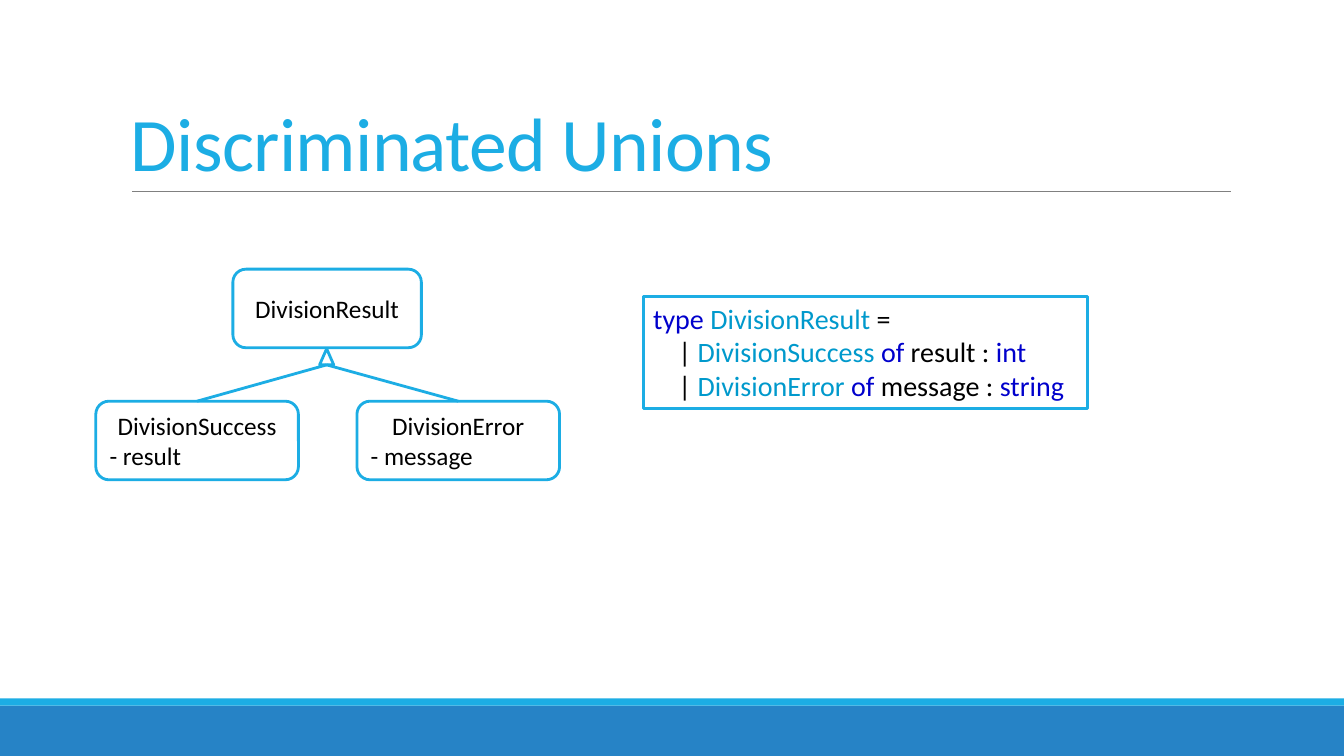
"""Build the Discriminated Unions slide."""
import pptx
import pptx.dml.color
import pptx.enum.shapes
import pptx.enum.text
import pptx.oxml.ns
import pptx.util
from lxml import etree

Inches, Pt = pptx.util.Inches, pptx.util.Pt
RGBColor = pptx.dml.color.RGBColor
MSO_SHAPE = pptx.enum.shapes.MSO_SHAPE
ANCHOR = pptx.enum.text.MSO_ANCHOR
ALIGN = pptx.enum.text.PP_ALIGN

SKY = RGBColor(0x1C, 0xAD, 0xE4)
BLUE = RGBColor(0x26, 0x83, 0xC6)
GRAY = RGBColor(0x80, 0x80, 0x80)
WHITE = RGBColor(0xFF, 0xFF, 0xFF)
BLACK = RGBColor(0x00, 0x00, 0x00)
KEYWORD = RGBColor(0x00, 0x00, 0xCC)
TYPE = RGBColor(0x00, 0x99, 0xCC)

FRAME = {"word_wrap": True, "vertical_anchor": ANCHOR.MIDDLE}
CODE = [
    [("type ", KEYWORD), ("DivisionResult", TYPE), (" =", BLACK)],
    [("| ", BLACK), ("DivisionSuccess ", TYPE), ("of", KEYWORD),
     (" result : ", BLACK), ("int", KEYWORD)],
    [("| ", BLACK), ("DivisionError ", TYPE), ("of", KEYWORD),
     (" message : ", BLACK), ("string", KEYWORD)],
]


def apply(obj, values):
    """Set each named attribute on an object."""
    for name, value in values.items():
        setattr(obj, name, value)


def add_box(s, kind, at, fill=None, line=None):
    """Add a preset shape without shadow."""
    sp = s.shapes.add_shape(kind, *map(Inches, at))
    sp.shadow.inherit = False
    if fill is None:
        sp.fill.background()
    else:
        sp.fill.solid()
        sp.fill.fore_color.rgb = fill
    if line is None:
        sp.line.fill.background()
    else:
        sp.line.color.rgb = line
        sp.line.width = Pt(2)
    return sp


def add_line(s, start, end, color, width):
    """Add a straight connector without shadow."""
    sp = s.shapes.add_connector(pptx.enum.shapes.MSO_CONNECTOR.STRAIGHT,
                                *map(Inches, start + end))
    sp.line.color.rgb = color
    sp.line.width = Pt(width)
    etree.SubElement(sp._element.spPr, pptx.oxml.ns.qn("a:effectLst"))


def add_run(p, text, size, color):
    """Add a coloured run to a paragraph."""
    r = p.add_run()
    r.text = text
    apply(r.font, {"name": "Calibri", "size": Pt(size)})
    r.font.color.rgb = color
    return r


def add_paragraph(tf, index, align=ALIGN.LEFT):
    """Return the first paragraph or a new one, aligned."""
    p = tf.add_paragraph() if index else tf.paragraphs[0]
    p.alignment = align
    return p


def add_title(s, text):
    """Add the slide title and its rule."""
    sp = s.shapes.add_textbox(*map(Inches, (1.2, 0.31, 11, 1.59)))
    tf = sp.text_frame
    apply(tf, FRAME | {"vertical_anchor": ANCHOR.BOTTOM})
    p = add_paragraph(tf, 0)
    p.line_spacing = 0.85
    r = add_run(p, text, 54, SKY)
    r.font._element.set("spc", "-50")
    add_line(s, (1.31, 1.9), (12.21, 1.9), GRAY, 0.5)


def add_code(s, at, lines):
    """Add the code box with coloured syntax and indented cases."""
    tf = add_box(s, MSO_SHAPE.RECTANGLE, at, WHITE, SKY).text_frame
    apply(tf, FRAME | {"vertical_anchor": ANCHOR.TOP})
    for i, line in enumerate(lines):
        p = add_paragraph(tf, i)
        if i:
            p._p.get_or_add_pPr().set("marL", str(Inches(0.25)))
        for text, color in line:
            add_run(p, text, 20, color)


def add_class(s, at, name, member=None):
    """Add a class box with a centred name and an optional member."""
    tf = add_box(s, MSO_SHAPE.ROUNDED_RECTANGLE, at, WHITE, SKY).text_frame
    apply(tf, FRAME)
    add_run(add_paragraph(tf, 0, ALIGN.CENTER), name, 18, BLACK)
    if member:
        add_run(add_paragraph(tf, 1), f"- {member}", 18, BLACK)


def main():
    """Build and save the slide."""
    prs = pptx.Presentation()
    apply(prs, {"slide_width": Inches(13.33), "slide_height": Inches(7.5)})
    s = prs.slides.add_slide(prs.slide_layouts[6])
    add_box(s, MSO_SHAPE.RECTANGLE, (0, 7, 13.33, 0.5), BLUE)
    add_box(s, MSO_SHAPE.RECTANGLE, (0, 6.93, 13.33, 0.07), SKY)
    add_title(s, "Discriminated Unions")
    add_code(s, (6.38, 2.94, 4.41, 1.11), CODE)

    add_class(s, (2.31, 2.67, 1.87, 0.78), "DivisionResult")
    cases = [(0.95, "DivisionSuccess", "result"),
             (3.54, "DivisionError", "message")]
    for left, name, member in cases:
        add_class(s, (left, 3.98, 2.01, 0.78), name, member)
        add_line(s, (left + 2.01 / 2, 3.98), (3.24, 3.62), SKY, 2)
    add_box(s, MSO_SHAPE.ISOSCELES_TRIANGLE, (3.17, 3.46, 0.14, 0.16), line=SKY)
    prs.save("out.pptx")


if __name__ == "__main__":
    main()
